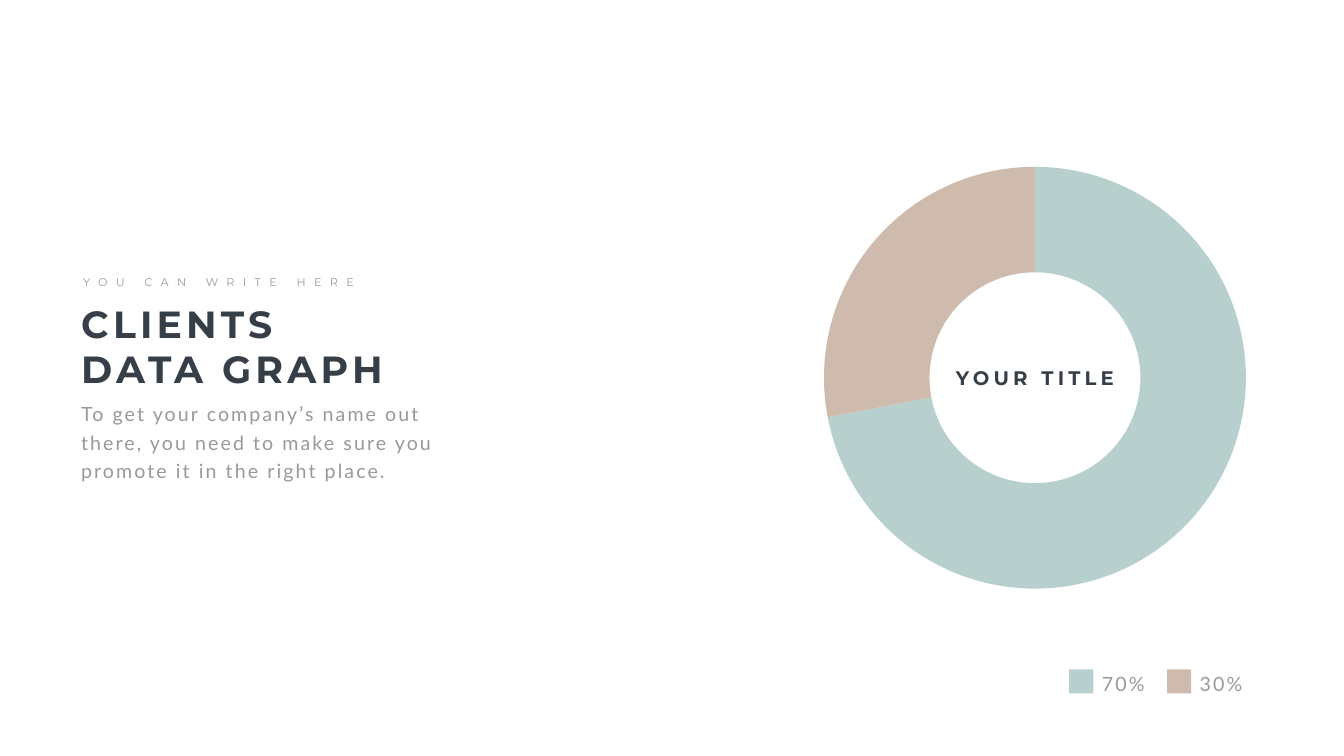
import pptx
import pptx.util
import pptx.chart.data
import pptx.dml.color
import pptx.enum.chart
import pptx.enum.shapes
import pptx.enum.text
import pptx.oxml

Inches = pptx.util.Inches
Pt = pptx.util.Pt
RGBColor = pptx.dml.color.RGBColor
Align = pptx.enum.text.PP_ALIGN

SAGE = RGBColor(0xB7, 0xD0, 0xCD)
SAND = RGBColor(0xCE, 0xBB, 0xAD)
SLATE = RGBColor(0x36, 0x3E, 0x48)
GREY = RGBColor(0x99, 0x99, 0x99)

# Text styles: font, size, colour, bold, letter spacing, line spacing (points)
BODY = ("Lato", 28, GREY, False, 3, 40.8)
HEADING = ("Montserrat", 54, SLATE, True, 6, None)
EYEBROW = ("Montserrat", 16, GREY, False, 12, None)
CENTRE_LABEL = ("Montserrat", 28, SLATE, True, 6, None)


def place(box, left, top, width, height):
    box.left, box.top = Inches(left), Inches(top)
    box.width, box.height = Inches(width), Inches(height)


def write(box, text, style, align=Align.LEFT, wrap=True):
    font, size, colour, bold, spacing, leading = style
    frame = box.text_frame
    frame.word_wrap = wrap
    frame.auto_size = pptx.enum.text.MSO_AUTO_SIZE.SHAPE_TO_FIT_TEXT
    frame.vertical_anchor = pptx.enum.text.MSO_ANCHOR.TOP
    para = frame.paragraphs[0]
    para.alignment = align
    para.space_before = Pt(0)
    if leading:
        para.line_spacing = Pt(leading)
    span = para.add_run()
    span.text = text
    span.font.name, span.font.size, span.font.bold = font, Pt(size), bold
    span.font.color.rgb = colour
    span.font._element.set("spc", str(spacing * 100))


def add_text(page, left, top, width, height, text, style, **options):
    box = page.shapes.add_textbox(
        Inches(left), Inches(top), Inches(width), Inches(height))
    write(box, text, style, **options)


def build_intro(page, left, top):
    add_text(page, left + 0.04, top, 5.78, 0.37, "YOU CAN WRITE HERE",
             EYEBROW, wrap=False)
    title = page.shapes.title
    place(title, left, top + 0.5, 6.52, 1.92)
    write(title, "CLIENTS DATA GRAPH", HEADING)
    add_text(page, left, top + 2.42, 7.54, 1.77,
             "To get your company’s name out there, you need to make sure "
             "you promote it in the right place.", BODY)


def set_plot_area(chart, x, y, width, height):
    """Fix the inner plot area, as fractions of the chart frame."""
    plot_area = chart._chartSpace.chart.plotArea
    for old in plot_area.findall(pptx.oxml.ns.qn("c:layout")):
        plot_area.remove(old)
    values = "".join(f'<c:{tag} val="{value:.4f}"/>' for tag, value in
                     (("x", x), ("y", y), ("w", width), ("h", height)))
    plot_area.insert(0, pptx.oxml.parse_xml(
        f'<c:layout {pptx.oxml.ns.nsdecls("c")}><c:manualLayout>'
        '<c:layoutTarget val="inner"/><c:xMode val="edge"/>'
        f'<c:yMode val="edge"/>{values}</c:manualLayout></c:layout>'))


def build_doughnut(page, left, top, width, height):
    data = pptx.chart.data.CategoryChartData()
    data.categories = ["1", "2"]
    data.add_series("Series 1", (72, 28))
    chart = page.shapes.add_chart(
        pptx.enum.chart.XL_CHART_TYPE.DOUGHNUT, Inches(left), Inches(top),
        Inches(width), Inches(height), data).chart
    chart.has_legend = False
    chart.has_title = False
    chart.font.name, chart.font.size = "Calibri", Pt(10)
    chart.font.color.rgb = GREY

    # Ring colours and hole
    plot = chart.plots[0]
    plot.vary_by_categories = True
    for index, colour in enumerate((SAGE, SAND)):
        point = plot.series[0].points[index]
        point.format.fill.solid()
        point.format.fill.fore_color.rgb = colour
        point.format.line.fill.background()
    plot._element.find(pptx.oxml.ns.qn("c:holeSize")).set("val", "90")

    # Centred square plot area
    ring = 8.37
    set_plot_area(chart, (1 - ring / width) / 2, (1 - ring / height) / 2,
                  ring / width, ring / height)

    # Label in the hole
    label_width = 5.25
    add_text(page, left + (width - label_width) / 2, top + height / 2 - 0.29,
             label_width, 0.57, "YOUR TITLE", CENTRE_LABEL,
             align=Align.CENTER)


def build_legend(page, left, top, step):
    for index, (text, colour) in enumerate((("70%", SAGE), ("30%", SAND))):
        x = left + index * step
        swatch = page.shapes.add_shape(
            pptx.enum.shapes.MSO_SHAPE.RECTANGLE,
            Inches(x), Inches(top), Inches(0.48), Inches(0.48))
        swatch.shadow.inherit = False
        swatch.fill.solid()
        swatch.fill.fore_color.rgb = colour
        swatch.line.fill.background()
        add_text(page, x + 0.55, top - 0.09, 1.18, 0.62, text, BODY)


def main():
    deck = pptx.Presentation()
    deck.slide_width, deck.slide_height = Inches(26.66), Inches(15)
    page = deck.slides.add_slide(deck.slide_layouts[5])
    build_intro(page, 1.51, 5.41)
    build_doughnut(page, 15.91, 3.18, 9.24, 8.63)
    build_legend(page, 21.21, 13.28, 1.94)
    deck.save("out.pptx")


if __name__ == "__main__":
    main()
